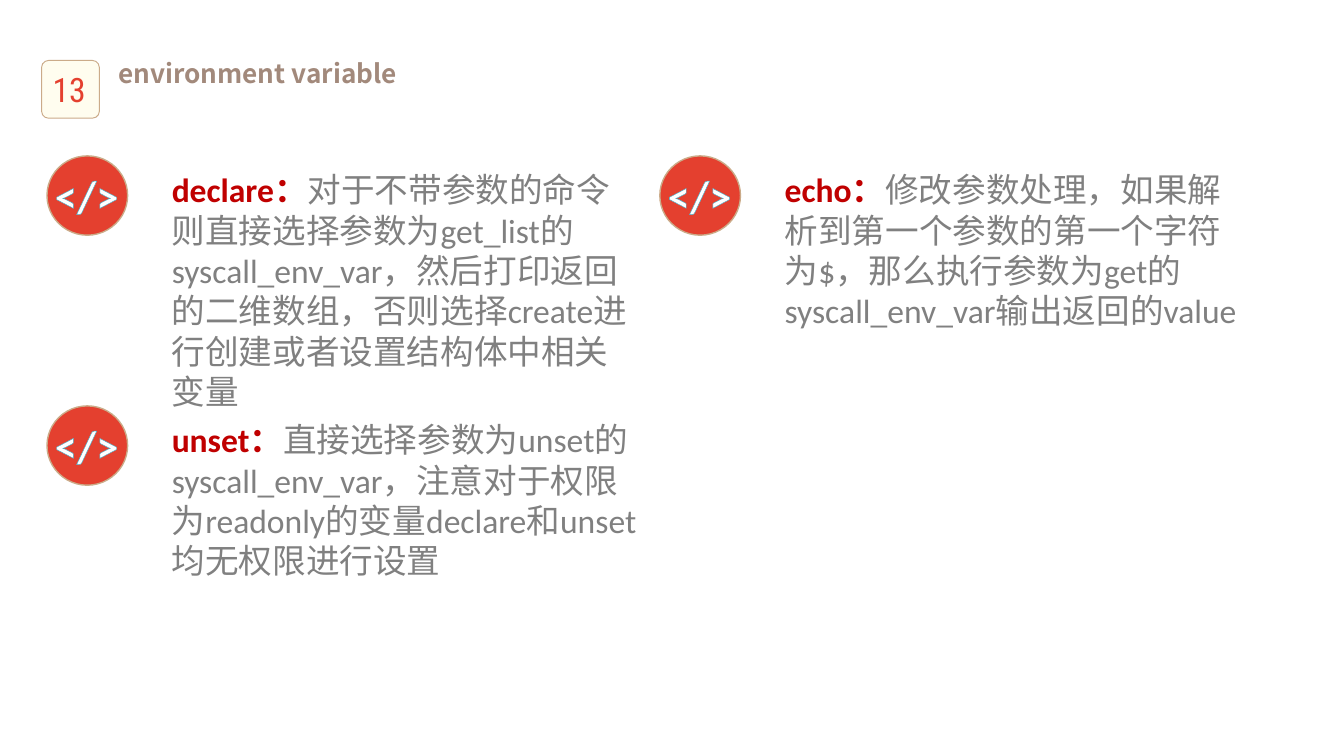
from lxml import etree
from pptx import Presentation
from pptx.dml.color import RGBColor
from pptx.enum.shapes import MSO_SHAPE
from pptx.enum.text import MSO_ANCHOR, MSO_AUTO_SIZE, PP_ALIGN
from pptx.oxml.ns import qn
from pptx.util import Inches, Pt

CENTER, LEFT = PP_ALIGN.CENTER, PP_ALIGN.LEFT
TOP, MIDDLE = MSO_ANCHOR.TOP, MSO_ANCHOR.MIDDLE
ELLIPSE, ROUNDED = MSO_SHAPE.OVAL, MSO_SHAPE.ROUNDED_RECTANGLE

RED, DARK_RED, GRAY, WHITE = "E4402F", "C00000", "808080", "FFFFFF"
TAN, BROWN, CREAM, TEAL = "CBAB89", "A2897B", "FFFDEF", "4BACC6"
LATIN, CHINESE, NUMBER_FONT = "Calibri", "Noto Sans CJK SC", "Roboto Condensed"

TITLE = "environment variable"
PAGE_NUMBER = "13"
ICON = "</>"
# column, row, text height, command, description
COMMANDS = [
    (0, 0, 1.92, "declare：",
     "对于不带参数的命令则直接选择参数为get_list的syscall_env_var，"
     "然后打印返回的二维数组，否则选择create进行创建或者设置结构体中相关变量"),
    (1, 0, 1.31, "echo：",
     "修改参数处理，如果解析到第一个参数的第一个字符为$，"
     "那么执行参数为get的syscall_env_var输出返回的value"),
    (0, 1, 1.31, "unset：",
     "直接选择参数为unset的syscall_env_var，"
     "注意对于权限为readonly的变量declare和unset均无权限进行设置"),
]
SLIDE_WIDTH = 10
SLIDE_HEIGHT = SLIDE_WIDTH * 9 / 16
GRID_LEFT, GRID_TOP = 0.35, 1.16
COLUMN_STEP, ROW_STEP = 4.56, 1.86
ICON_WIDTH, ICON_HEIGHT = 0.6, 0.59
TEXT_OFFSET, TEXT_WIDTH = 0.83, 3.66


def color(value):
    return RGBColor.from_string(value)


def add_run(paragraph, text, size, font_color, bold=False, font=LATIN):
    run = paragraph.add_run()
    run.text = text
    run.font.size = Pt(size)
    run.font.name = font
    run.font.bold = bold
    run.font.color.rgb = color(font_color)
    east_asian = etree.Element(qn("a:ea"), typeface=CHINESE)
    run.font._element.find(qn("a:latin")).addnext(east_asian)
    return run


def outline_text(run, line_color, width):
    line = etree.Element(qn("a:ln"), w=str(Pt(width)))
    fill = etree.SubElement(line, qn("a:solidFill"))
    etree.SubElement(fill, qn("a:srgbClr"), val=line_color)
    run.font._element.insert(0, line)


def add_outlined_shape(slide, kind, box, fill, line_width):
    shape = slide.shapes.add_shape(kind, *map(Inches, box))
    shape.shadow.inherit = False
    shape.fill.solid()
    shape.fill.fore_color.rgb = color(fill)
    shape.line.color.rgb = color(TAN)
    shape.line.width = Pt(line_width)
    return shape


def add_text(slide, box, alignment=LEFT, anchor=TOP):
    """Add an empty wrapping text box and return its first paragraph."""
    frame = slide.shapes.add_textbox(*map(Inches, box)).text_frame
    frame.word_wrap = True
    frame.vertical_anchor = anchor
    paragraph = frame.paragraphs[0]
    paragraph.alignment = alignment
    return paragraph


def add_title(slide):
    title = slide.shapes.title
    title.left, title.top, title.width, title.height = map(
        Inches, (0.78, 0.38, 8.62, 0.47))
    frame = title.text_frame
    frame.auto_size = MSO_AUTO_SIZE.NONE
    frame.vertical_anchor = TOP
    paragraph = frame.paragraphs[0]
    paragraph.alignment = LEFT
    paragraph.space_before = Pt(2.8)
    add_run(paragraph, TITLE, 14, BROWN, bold=True, font=CHINESE)


def add_page_number(slide):
    badge = add_outlined_shape(slide, ROUNDED, (0.31, 0.45, 0.43, 0.43), CREAM, 0.5)
    badge.adjustments[0] = 0.12
    paragraph = add_text(slide, (0.26, 0.46, 0.51, 0.4), CENTER, MIDDLE)
    add_run(paragraph, PAGE_NUMBER, 18, RED, font=NUMBER_FONT)


def add_command(slide, column, row, text_height, command, description):
    left = GRID_LEFT + column * COLUMN_STEP
    top = GRID_TOP + row * ROW_STEP
    add_outlined_shape(slide, ELLIPSE, (left, top, ICON_WIDTH, ICON_HEIGHT), RED, 0.75)
    icon = add_text(slide, (left - 0.34, top + 0.04, 1.27, 0.5), CENTER)
    outline_text(add_run(icon, ICON, 24, WHITE, bold=True), TEAL, 0.8)
    paragraph = add_text(
        slide, (left + TEXT_OFFSET, top + 0.05, TEXT_WIDTH, text_height))
    add_run(paragraph, command, 18, DARK_RED, bold=True)
    add_run(paragraph, description, 18, GRAY)


def main():
    presentation = Presentation()
    presentation.slide_width = Inches(SLIDE_WIDTH)
    presentation.slide_height = Inches(SLIDE_HEIGHT)
    slide = presentation.slides.add_slide(presentation.slide_layouts[5])
    add_page_number(slide)
    add_title(slide)
    for command in COMMANDS:
        add_command(slide, *command)
    presentation.save("out.pptx")


if __name__ == "__main__":
    main()
